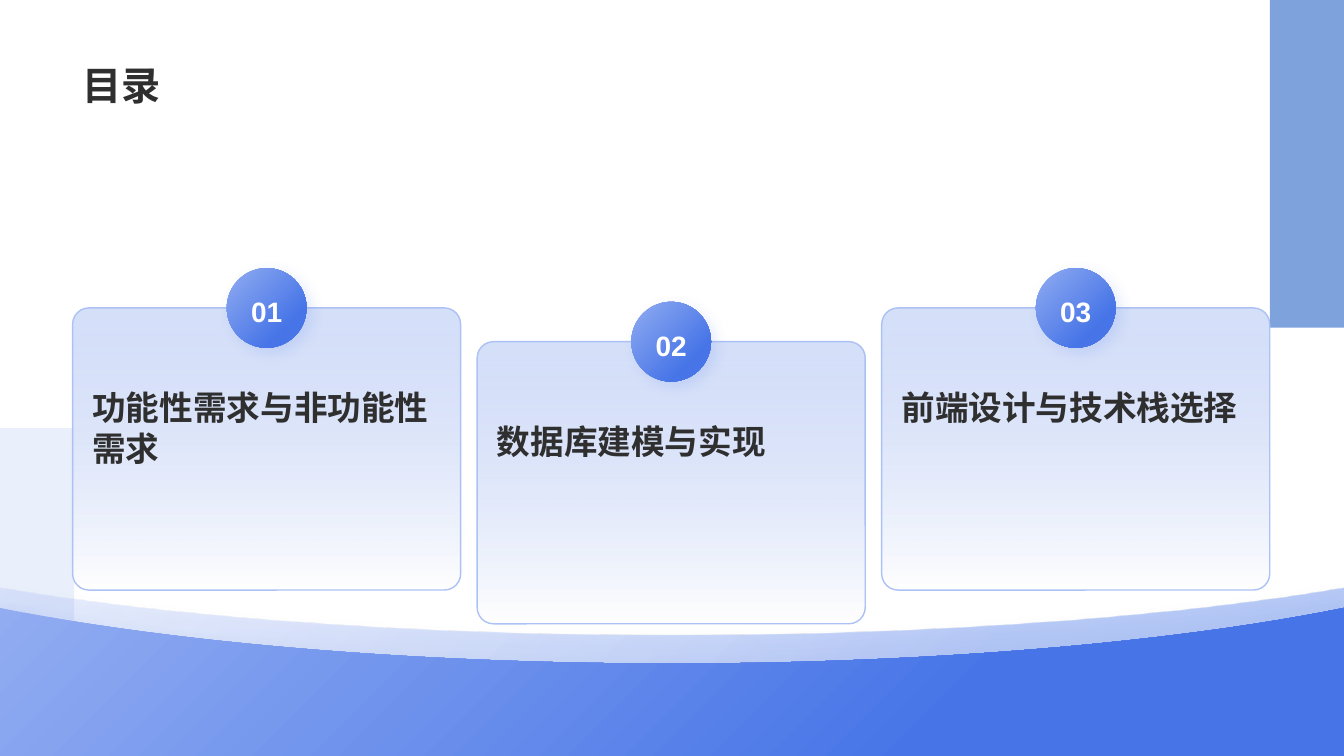
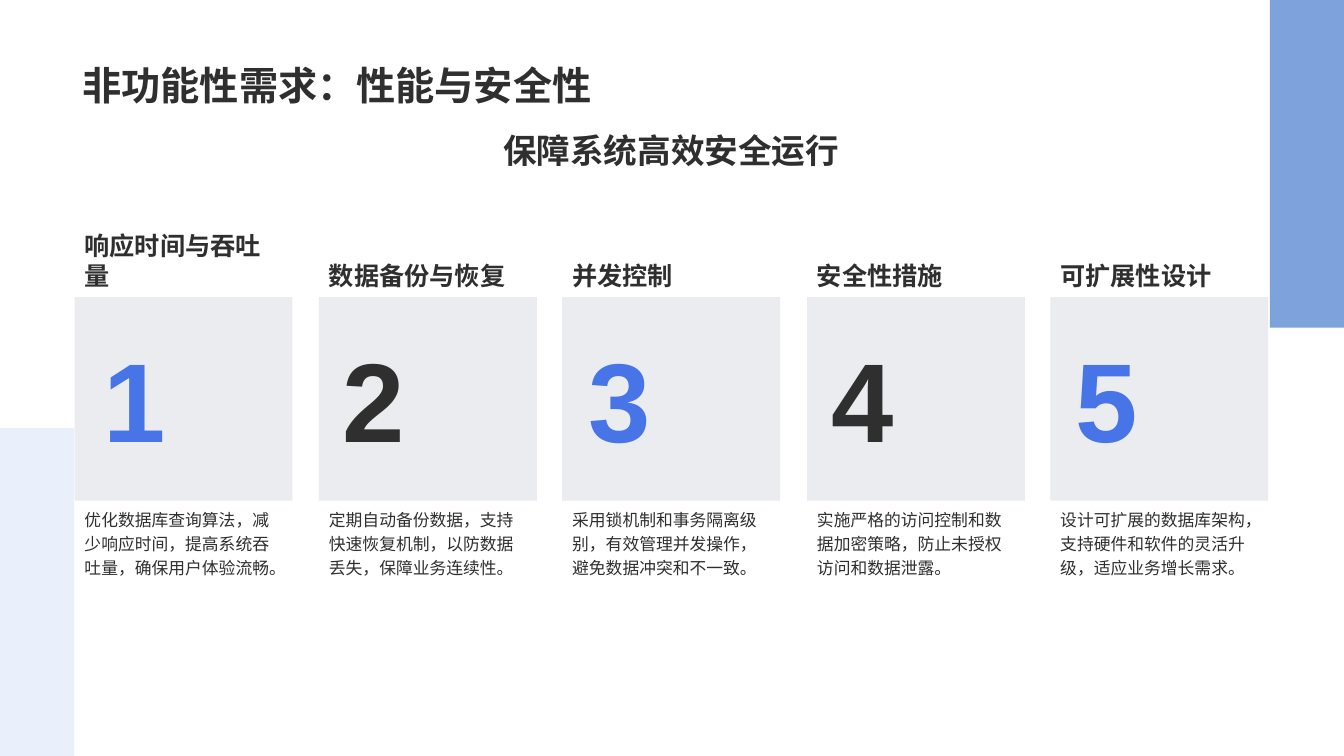
from lxml.etree import Element, SubElement
from pptx import Presentation
from pptx.dml.color import RGBColor
from pptx.enum.shapes import MSO_SHAPE as Preset
from pptx.enum.text import MSO_ANCHOR as Anchor, MSO_AUTO_SIZE as AutoSize, PP_ALIGN as Align
from pptx.oxml.ns import qn
from pptx.util import Cm, Pt

INK = RGBColor(0x2F, 0x2F, 0x2F)
WHITE = RGBColor(0xFF, 0xFF, 0xFF)
BLUE = RGBColor(0x47, 0x75, 0xE7)
LIGHT_BLUE = RGBColor(0x91, 0xAC, 0xF1)
CARD_BLUE = RGBColor(0xAC, 0xC1, 0xF4)
PALE_BAND = RGBColor(0xDA, 0xE3, 0xFA)
DEEP_BAND = RGBColor(0x11, 0x54, 0xBE)
SLATE = RGBColor(0x77, 0x84, 0x95)
FONT = "Arial"
WIDTH, HEIGHT = 33.87, 19.05
MARGIN, CONTENT_WIDTH = 1.83, 30.17
BAND_WIDTH, BAND_HEIGHT = 1.87, 8.26


def write(text, frame, size, color=INK, bold=True, align=Align.LEFT,
          anchor=Anchor.TOP, spacing=None, wrap=True, grow=False):
    frame.word_wrap = wrap
    frame.auto_size = AutoSize.SHAPE_TO_FIT_TEXT if grow else AutoSize.NONE
    frame.vertical_anchor = anchor
    paragraph = frame.paragraphs[0]
    paragraph.alignment = align
    paragraph.line_spacing = spacing
    run = paragraph.add_run()
    run.text = text
    run.font.name, run.font.size, run.font.bold = FONT, Pt(size), bold
    run.font.color.rgb = color


def paint(shape, *stops, angle=0, shadow=None):
    if len(stops) == 1:
        shape.fill.solid()
        shape.fill.fore_color.rgb = stops[0][1]
    else:
        shape.fill.gradient()
        shape.fill.gradient_angle = 360 - angle
        for target, (position, color, _) in zip(shape.fill.gradient_stops, stops):
            target.position = position
            target.color.rgb = color
    properties = shape._element.spPr
    for node, (_, _, opacity) in zip(list(properties.iter(qn("a:srgbClr"))), stops):
        if opacity < 100:
            SubElement(node, qn("a:alpha"), val=str(opacity * 1000))
    shape.line.fill.background()
    shape.shadow.inherit = False
    if shadow:
        distance, direction = shadow
        outer = SubElement(properties.find(qn("a:effectLst")), qn("a:outerShdw"),
                           blurRad=str(Pt(10)), dist=str(Pt(distance)),
                           dir=str(direction * 60000), algn="ctr", rotWithShape="0")
        tint = SubElement(outer, qn("a:srgbClr"), val=str(BLUE))
        SubElement(tint, qn("a:alpha"), val="15000")


deck = Presentation()
deck.slide_width, deck.slide_height = Cm(WIDTH), Cm(HEIGHT)

pages = []
for heading in ("目录", "非功能性需求：性能与安全性"):
    page = deck.slides.add_slide(deck.slide_layouts[6]).shapes
    for left, top, color in ((0, HEIGHT - BAND_HEIGHT, PALE_BAND),
                             (WIDTH - BAND_WIDTH, 0, DEEP_BAND)):
        band = page.add_shape(Preset.RECTANGLE, Cm(left), Cm(top),
                              Cm(BAND_WIDTH), Cm(BAND_HEIGHT))
        paint(band, (0, color, 54))
    title = page.add_textbox(Cm(MARGIN), Cm(0.36), Cm(CONTENT_WIDTH), Cm(2.49))
    write(heading, title.text_frame, 28, anchor=Anchor.BOTTOM)
    pages.append(page)
agenda, requirements = pages

for edge, depth, bottom, start_opacity, end_opacity in (
        (14.81, 1.19, 18.01, 20, 38), (15.32, 1.4, HEIGHT, 100, 100)):
    left_half = [(0, edge), (4.3, edge + depth * 0.62), (10.4, edge + depth)]
    right_half = [(WIDTH - x, y) for x, y in reversed(left_half)]
    outline = left_half + [(WIDTH / 2, edge + depth)] + right_half
    points = [(Cm(x), Cm(y)) for x, y in outline + [(WIDTH, bottom), (0, bottom)]]
    builder = agenda.build_freeform(*points[0])
    builder.add_line_segments(points[1:], close=True)
    wave = builder.convert_to_shape()
    segments = list(wave._element.spPr.iter(qn("a:lnTo")))
    for trio in (segments[:3], segments[3:6]):
        curve = Element(qn("a:cubicBezTo"))
        trio[0].addprevious(curve)
        for segment in trio:
            curve.append(segment[0])
            segment.getparent().remove(segment)
    paint(wave, (0, LIGHT_BLUE, start_opacity), (0.71, BLUE, end_opacity),
          angle=45, shadow=(4, 90))

CARD_WIDTH, CARD_HEIGHT, BADGE = 9.78, 7.11, 2.01
CARD_PITCH = (CONTENT_WIDTH - CARD_WIDTH) / 2
chapters = ("功能性需求与非功能性需求", "数据库建模与实现", "前端设计与技术栈选择")
for index, chapter in enumerate(chapters):
    left = MARGIN + index * CARD_PITCH
    top = 7.76 + index % 2 * 0.85
    card = agenda.add_shape(Preset.ROUNDED_RECTANGLE, Cm(left), Cm(top),
                            Cm(CARD_WIDTH), Cm(CARD_HEIGHT))
    card.adjustments[0] = 0.058
    paint(card, (0, CARD_BLUE, 50), (1, WHITE, 100), angle=90)
    card.line.color.rgb = CARD_BLUE
    card.line.width = Pt(1)
    label = agenda.add_textbox(Cm(left + 0.25), Cm(top + 1.87),
                               Cm(CARD_WIDTH - 0.5), Cm(3.73))
    write(chapter, label.text_frame, 24)
    badge = agenda.add_shape(Preset.ROUNDED_RECTANGLE, Cm(left + (CARD_WIDTH - BADGE) / 2),
                             Cm(top - BADGE / 2), Cm(BADGE), Cm(BADGE))
    badge.adjustments[0] = 0.5
    paint(badge, (0, LIGHT_BLUE, 100), (0.75, BLUE, 100), angle=45, shadow=(5, 45))
    write(f"{index + 1:02}", badge.text_frame, 20, color=WHITE, align=Align.CENTER,
          anchor=Anchor.MIDDLE, spacing=1.2, wrap=False)

subtitle = requirements.add_textbox(Cm(MARGIN), Cm(3.15), Cm(CONTENT_WIDTH), Cm(1.27))
write("保障系统高效安全运行", subtitle.text_frame, 24, align=Align.CENTER)

TILE_TOP, TILE_WIDTH, TILE_HEIGHT = 7.49, 5.49, 5.13
topics = (
    (1.88, 2.36, "响应时间与吞吐量",
     "优化数据库查询算法，减少响应时间，提高系统吞吐量，确保用户体验流畅。"),
    (8.04, 8.38, "数据备份与恢复",
     "定期自动备份数据，支持快速恢复机制，以防数据丢失，保障业务连续性。"),
    (14.17, 14.58, "并发控制",
     "采用锁机制和事务隔离级别，有效管理并发操作，避免数据冲突和不一致。"),
    (20.34, 20.7, "安全性措施",
     "实施严格的访问控制和数据加密策略，防止未授权访问和数据泄露。"),
    (26.47, 26.85, "可扩展性设计",
     "设计可扩展的数据库架构，支持硬件和软件的灵活升级，适应业务增长需求。"),
)
for index, (left, numeral_left, topic, detail) in enumerate(topics):
    tile = requirements.add_shape(Preset.RECTANGLE, Cm(left), Cm(TILE_TOP),
                                  Cm(TILE_WIDTH), Cm(TILE_HEIGHT))
    paint(tile, (0, SLATE, 15))
    numeral = requirements.add_textbox(Cm(numeral_left), Cm(8.2), Cm(2.1), Cm(3.68))
    write(str(index + 1), numeral.text_frame, 80, color=INK if index % 2 else BLUE,
          wrap=False, grow=True)
    description = requirements.add_textbox(Cm(left), Cm(TILE_TOP + TILE_HEIGHT),
                                           Cm(TILE_WIDTH), Cm(3.89))
    write(detail, description.text_frame, 12, bold=False, spacing=1.2)
    topic_name = requirements.add_textbox(Cm(left), Cm(TILE_TOP - 1.97),
                                          Cm(TILE_WIDTH), Cm(1.93))
    write(topic, topic_name.text_frame, 18, anchor=Anchor.BOTTOM)

deck.save("out.pptx")
